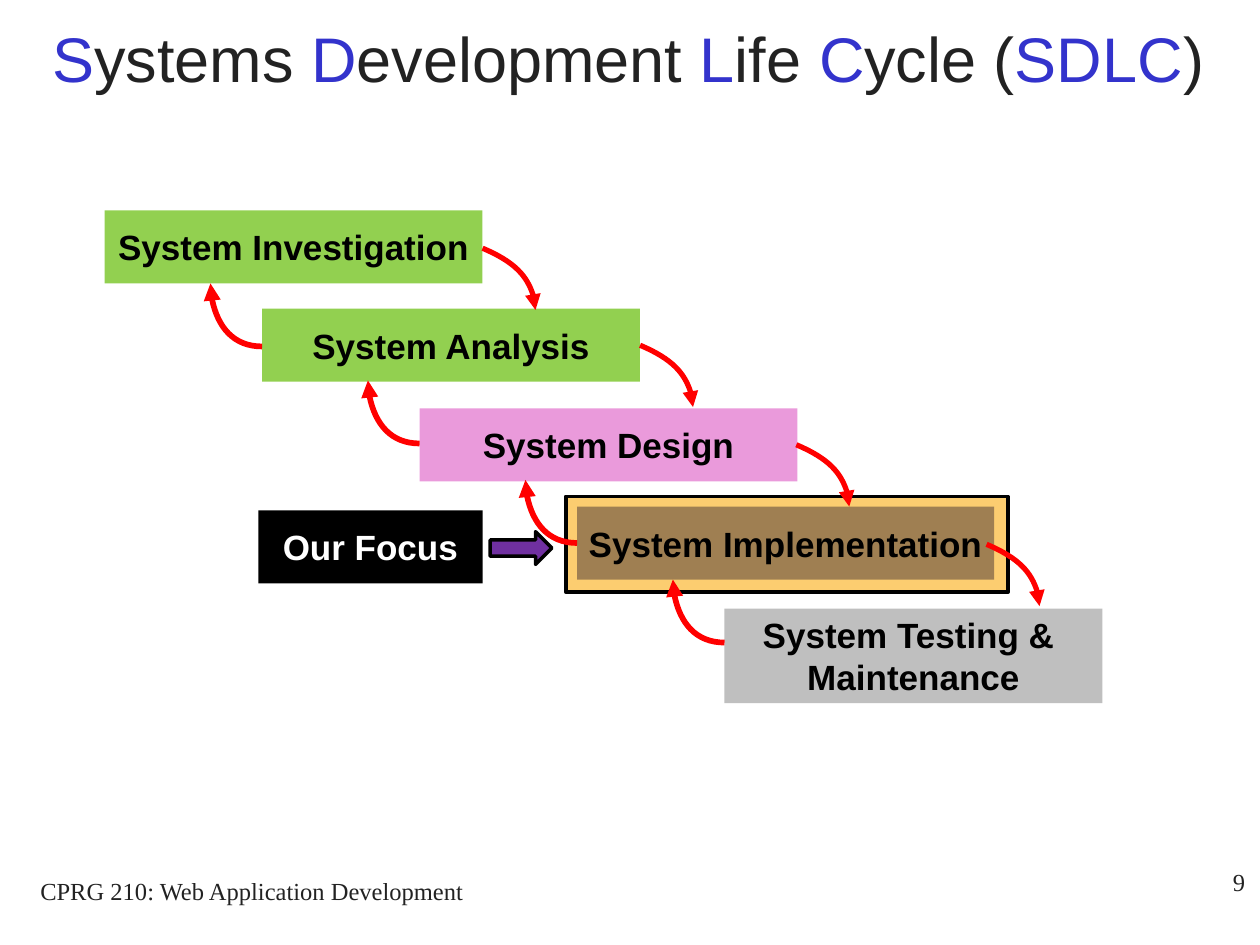
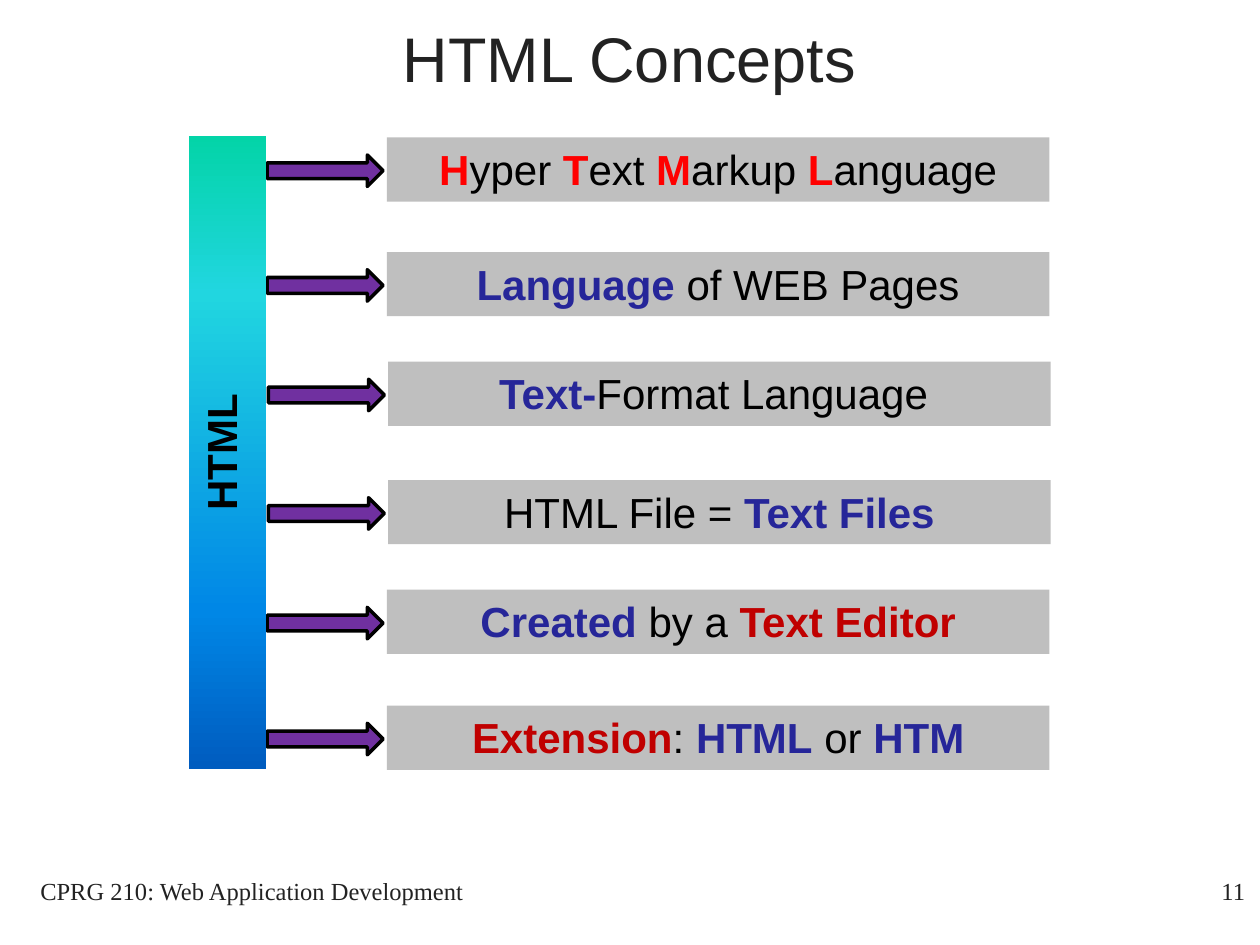
from dataclasses import dataclass

from lxml.etree import SubElement
from pptx import Presentation
from pptx.dml.color import RGBColor
from pptx.enum.shapes import MSO_SHAPE as Kind
from pptx.enum.text import MSO_ANCHOR as Anchor, PP_ALIGN as Align
from pptx.oxml.ns import qn
from pptx.util import Inches, Pt

BLACK, WHITE, INK, GRAY = "000000", "FFFFFF", "222222", "BFBFBF"
BLUE, NAVY, RED, BRICK = "3333CC", "262699", "FF0000", "C00000"
GREEN, PINK, BROWN, GOLD, PURPLE = "92D050", "EA9ADB", "6E5642", "FCCD70", "7030A0"
FADE = ((0, "03D4A8"), (25, "21D6E0"), (75, "0087E6"), (100, "005CBF"))
DOWN = ((0, 0), (0.26, 0.11), (0.42, 0.29), (0.42, 0.49))
BACK = ((0, 0), (-0.23, 0), (-0.41, -0.22), (-0.41, -0.5))


@dataclass(frozen=True)
class Run:
    text: str
    color: str = BLACK
    bold: bool = False


@dataclass(frozen=True)
class Box:
    left: float
    top: float
    width: float
    height: float

    def spread(self) -> list:
        return [Inches(n) for n in (self.left, self.top, self.width, self.height)]


@dataclass(frozen=True)
class Step:
    box: Box
    fill: str
    lines: tuple
    alpha: int = 100


@dataclass(frozen=True)
class Row:
    left: float
    top: float
    runs: tuple


STEPS = (
    Step(Box(0.83, 1.67, 3, 0.58), GREEN, ("System Investigation",)),
    Step(Box(2.08, 2.45, 3, 0.58), GREEN, ("System Analysis",)),
    Step(Box(3.33, 3.24, 3, 0.58), PINK, ("System Design",)),
    Step(Box(4.58, 4.02, 3.31, 0.58), BROWN, ("System Implementation",), 65),
    Step(Box(5.75, 4.83, 3, 0.75), GRAY, ("System Testing & ", "Maintenance")),
)
TURNS = ((3.83, 1.97), (5.08, 2.74), (6.32, 3.53), (7.83, 4.32))
ROWS = (
    Row(3.07, 1.09, (Run("H", RED, True), Run("yper "), Run("T", RED, True), Run("ext "),
                     Run("M", RED, True), Run("arkup "), Run("L", RED, True),
                     Run("anguage"))),
    Row(3.07, 2, (Run("Language", NAVY, True), Run(" of WEB Pages"))),
    Row(3.08, 2.87, (Run("Text-", NAVY, True), Run("Format Language "))),
    Row(3.08, 3.81, (Run("HTML File = "), Run("Text Files", NAVY, True))),
    Row(3.07, 4.68, (Run("Created", NAVY, True), Run(" by a "),
                     Run("Text Editor", BRICK, True))),
    Row(3.07, 5.6, (Run("Extension", BRICK, True), Run(": "), Run("HTML", NAVY, True),
                    Run(" or "), Run("HTM", NAVY, True))),
)
HEAD = (Run("S", BLUE), Run("ystems ", INK), Run("D", BLUE), Run("evelopment ", INK),
        Run("L", BLUE), Run("ife ", INK), Run("C", BLUE), Run("ycle (", INK),
        Run("SDLC", BLUE), Run(")", INK))


def tint(code: str) -> RGBColor:
    return RGBColor.from_string(code)


def write(shape, lines, size: float = 20, font: str = "Arial", align=Align.CENTER,
          anchor=Anchor.MIDDLE, wrap: bool = True) -> None:
    frame = shape.text_frame
    frame.word_wrap = wrap
    frame.vertical_anchor = anchor
    for i, runs in enumerate(lines):
        para = frame.add_paragraph() if i else frame.paragraphs[0]
        para.alignment = align
        for item in runs:
            run = para.add_run()
            run.text = item.text
            run.font.size = Pt(size)
            run.font.name = font
            run.font.bold = item.bold
            run.font.color.rgb = tint(item.color)


def label(slide, box: Box, runs, **form) -> None:
    write(slide.shapes.add_textbox(*box.spread()), [runs], **form)


def block(slide, box: Box, fill: str, kind=Kind.RECTANGLE, edge: bool = False,
          alpha: int = 100):
    shape = slide.shapes.add_shape(kind, *box.spread())
    shape.shadow.inherit = False
    shape.fill.solid()
    shape.fill.fore_color.rgb = tint(fill)
    if alpha < 100:
        color = shape.element.spPr.find(f"{qn('a:solidFill')}/{qn('a:srgbClr')}")
        SubElement(color, qn("a:alpha"), val=str(alpha * 1000))
    if edge:
        shape.line.color.rgb = tint(BLACK)
        shape.line.width = Pt(2)
    else:
        shape.line.fill.background()
    return shape


def blend(shape, stops) -> None:
    shape.fill.gradient()
    shape.fill.gradient_angle = 270
    group = shape.element.spPr.find(f"{qn('a:gradFill')}/{qn('a:gsLst')}")
    for old in list(group):
        group.remove(old)
    for place, code in stops:
        stop = SubElement(group, qn("a:gs"), pos=str(place * 1000))
        SubElement(stop, qn("a:srgbClr"), val=code)


def bend(slide, left: float, top: float, curve, width: float) -> None:
    points = [(Inches(left + x), Inches(top + y)) for x, y in curve]
    pen = slide.shapes.build_freeform(*points[0])
    pen.add_line_segments([points[-1]], close=False)
    shape = pen.convert_to_shape()
    shape.shadow.inherit = False
    shape.fill.background()
    shape.line.color.rgb = tint(RED)
    shape.line.width = Pt(width)
    SubElement(shape.line._get_or_add_ln(), qn("a:tailEnd"), type="triangle")
    line = next(shape.element.iter(qn("a:lnTo")))
    track = line.getparent()
    track.remove(line)
    cubic = SubElement(track, qn("a:cubicBezTo"))
    for x, y in points[1:]:
        SubElement(cubic, qn("a:pt"), x=str(x - shape.left), y=str(y - shape.top))


def start(deck, title, box: Box, page: str, top: float):
    slide = deck.slides.add_slide(deck.slide_layouts[6])
    slide.background.fill.solid()
    slide.background.fill.fore_color.rgb = tint(WHITE)
    label(slide, box, title, size=36)
    small = dict(size=14, font="Times New Roman", anchor=Anchor.TOP)
    label(slide, Box(0, 6.9, 4, 0.5),
          [Run("CPRG 210: Web Application Development", INK)], **small)
    label(slide, Box(7.9, top, 2.08, 0.5), [Run(page, INK)], align=Align.RIGHT, **small)
    return slide


def draw_cycle(deck) -> None:
    slide = start(deck, HEAD, Box(0.11, -0.17, 9.75, 1.25), "9", 6.83)
    block(slide, Box(4.49, 3.94, 3.51, 0.76), GOLD, edge=True)
    focus = block(slide, Box(2.05, 4.05, 1.78, 0.58), BLACK)
    write(focus, [[Run("Our Focus", WHITE, True)]], wrap=False)
    block(slide, Box(3.89, 4.22, 0.49, 0.26), PURPLE, Kind.RIGHT_ARROW, edge=True)
    for step in STEPS:
        shape = block(slide, step.box, step.fill, alpha=step.alpha)
        write(shape, [[Run(line, bold=True)] for line in step.lines], wrap=False)
    for (left, top), step in zip(TURNS, STEPS[1:]):
        bend(slide, left, top, DOWN, 3)
        bend(slide, step.box.left, top + 0.78, BACK, 3.25)


def draw_list(deck) -> None:
    slide = start(deck, [Run("HTML Concepts", INK)], Box(0.58, -0.17, 8.83, 1.25),
                  "11", 6.9)
    for row in ROWS:
        block(slide, Box(row.left - 0.95, row.top + 0.14, 0.92, 0.25), PURPLE,
              Kind.RIGHT_ARROW, edge=True)
        shape = block(slide, Box(row.left, row.top, 5.26, 0.51), GRAY)
        write(shape, [row.runs], size=24, anchor=Anchor.TOP)
    bar = block(slide, Box(1.5, 1.08, 0.61, 5.02), BLUE)
    blend(bar, FADE)
    write(bar, [[Run("HTML", bold=True)]], size=24, anchor=Anchor.TOP)
    bar.element.txBody.bodyPr.set("vert", "vert270")


def main() -> None:
    deck = Presentation()
    deck.slide_width = Inches(10)
    deck.slide_height = Inches(7.5)
    draw_cycle(deck)
    draw_list(deck)
    deck.save("out.pptx")


if __name__ == "__main__":
    main()
